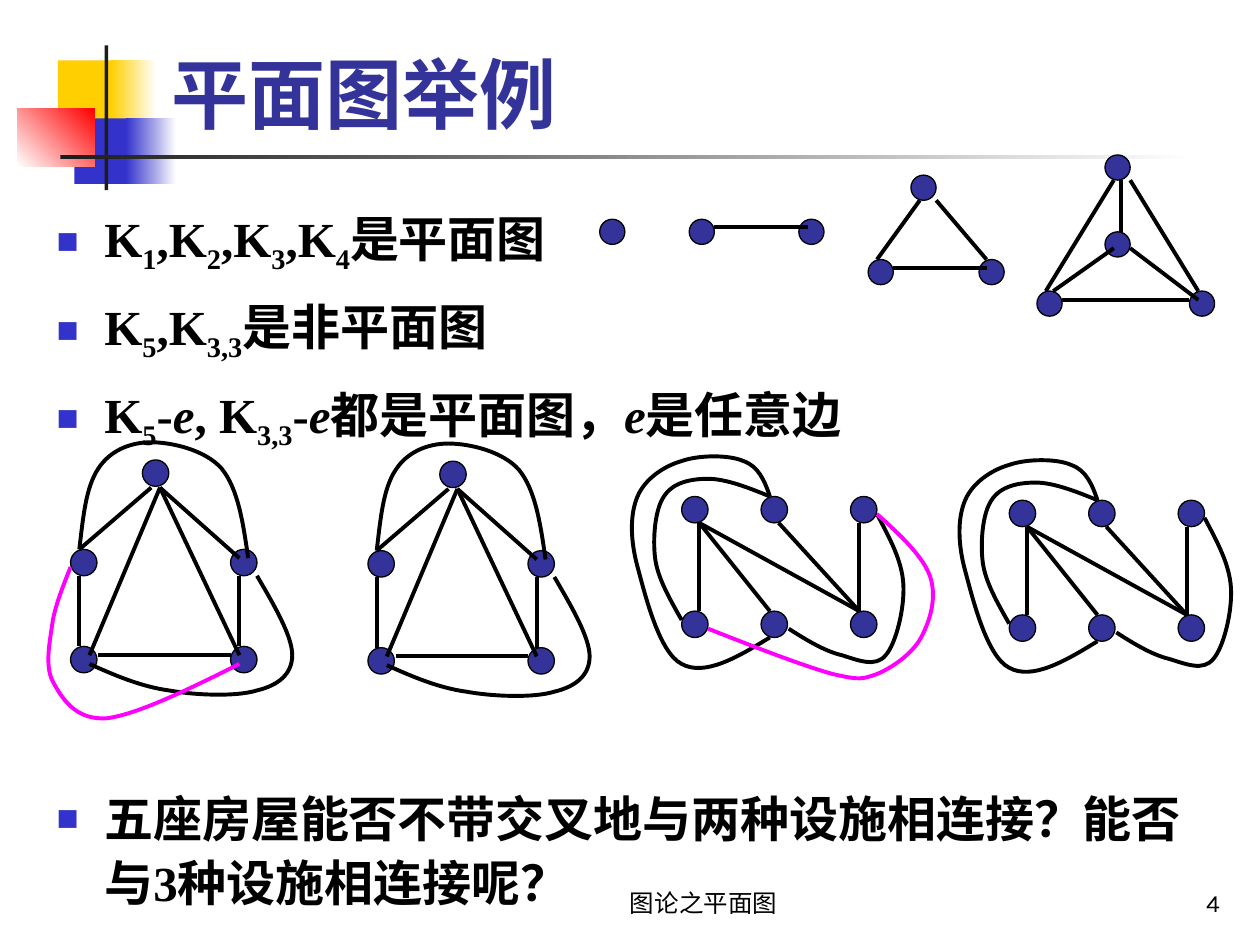
from lxml.etree import SubElement
from pptx import Presentation
from pptx.dml.color import RGBColor
from pptx.enum.shapes import MSO_CONNECTOR, MSO_SHAPE
from pptx.enum.text import MSO_ANCHOR, PP_ALIGN
from pptx.oxml.ns import qn
from pptx.util import Inches, Pt

BLACK = RGBColor(0x00, 0x00, 0x00)
WHITE = RGBColor(0xFF, 0xFF, 0xFF)
CHARCOAL = RGBColor(0x1C, 0x1C, 0x1C)
YELLOW = RGBColor(0xFF, 0xCF, 0x01)
BLUE = RGBColor(0x33, 0x33, 0xCC)
RED = RGBColor(0xFF, 0x00, 0x00)
NAVY = RGBColor(0x33, 0x33, 0x99)
MAGENTA = RGBColor(0xFF, 0x00, 0xFF)

# (left, top, width, height), colours, gradient angle
ORNAMENTS = [
    ((0.46, 0.48, 0.48, 0.52), (YELLOW,), 0),
    ((0.88, 0.48, 0.36, 0.52), (YELLOW, WHITE), 0),
    ((0.59, 0.94, 0.46, 0.52), (BLUE,), 0),
    ((1, 0.94, 0.4, 0.52), (BLUE, WHITE), 0),
    ((0.14, 0.86, 0.61, 0.46), (WHITE, RED), 45),
    ((0.83, 0.36, 0.03, 1.15), (CHARCOAL,), 0),
    ((0.48, 1.23, 9, 0.03), (CHARCOAL, WHITE), 0),
]

# (box, text, size, colour, bold, alignment)
LABELS = [
    ((1.26, 0.08, 8.52, 1.07), "平面图举例", 44, NAVY, True, PP_ALIGN.LEFT),
    ((4, 6.83, 3.17, 0.5), "图论之平面图", 14, BLACK, False, PP_ALIGN.CENTER),
    ((7.7, 6.83, 2.08, 0.5), "4", 14, BLACK, False, PP_ALIGN.RIGHT),
]

# (space before in points, runs of (text, style)); the last gap holds the graphs
PLAIN, SUB, ITALIC = range(3)
BULLETS = [
    (0, [("K", PLAIN), ("1", SUB), (",K", PLAIN), ("2", SUB), (",K", PLAIN),
         ("3", SUB), (",K", PLAIN), ("4", SUB), ("是平面图", PLAIN)]),
    (8.4, [("K", PLAIN), ("5", SUB), (",K", PLAIN), ("3,3", SUB), ("是非平面图", PLAIN)]),
    (8.4, [("K", PLAIN), ("5", SUB), ("-", PLAIN), ("e", ITALIC), (", K", PLAIN),
           ("3,3", SUB), ("-", PLAIN), ("e", ITALIC), ("都是平面图，", PLAIN),
           ("e", ITALIC), ("是任意边", PLAIN)]),
    (189, [("五座房屋能否不带交叉地与两种设施相连接？能否与3种设施相连接呢？", PLAIN)]),
]

# nodes: top-left corners; edges: end points; curves: Bezier control points
K1 = {"nodes": [(4.76, 1.74)]}
K2 = {"nodes": [(5.47, 1.74), (6.34, 1.74)], "edges": [((5.67, 1.8), (6.41, 1.8))]}
K3 = {
    "nodes": [(6.89, 2.06), (7.77, 2.06), (7.23, 1.39)],
    "edges": [((7.09, 2.13), (7.83, 2.13)), ((6.96, 2.06), (7.3, 1.59)),
              ((7.43, 1.59), (7.83, 2.06))],
}
K4 = {
    "nodes": [(8.23, 2.31), (9.44, 2.31), (8.77, 1.84), (8.77, 1.23)],
    "edges": [((8.43, 2.38), (9.44, 2.38)), ((8.84, 1.43), (8.3, 2.31)),
              ((8.97, 1.43), (9.51, 2.31)), ((8.9, 1.43), (8.9, 1.84)),
              ((8.36, 2.31), (8.84, 1.97)), ((8.97, 1.97), (9.51, 2.38))],
}
K5 = {
    "nodes": [(0.56, 5.13), (1.83, 5.13), (0.56, 4.36), (1.13, 3.65), (1.83, 4.36)],
    "edges": [((0.78, 5.2), (1.83, 5.2)), ((0.63, 4.57), (0.63, 5.13)),
              ((1.9, 4.57), (1.9, 5.13)), ((0.63, 4.36), (1.2, 3.87)),
              ((1.27, 3.87), (1.9, 4.43)), ((1.27, 3.87), (0.71, 5.2)),
              ((1.27, 3.87), (1.9, 5.2))],
    "curves": [
        [(0.71, 5.27), (0.91, 5.36), (1.12, 5.45), (1.34, 5.48), (1.56, 5.52),
         (1.88, 5.53), (2.04, 5.48), (2.21, 5.44), (2.32, 5.35), (2.32, 5.2),
         (2.32, 5.05), (2.18, 4.81), (2.04, 4.57)],
        [(0.63, 4.36), (0.66, 4.11), (0.68, 3.87), (0.78, 3.72), (0.87, 3.58),
         (1.03, 3.51), (1.2, 3.51), (1.36, 3.51), (1.63, 3.57), (1.76, 3.72),
         (1.89, 3.88), (1.93, 4.15), (1.97, 4.43)],
    ],
    "extra": [(0.56, 4.5), (0.51, 4.63), (0.45, 4.77), (0.42, 4.92), (0.4, 5.07),
              (0.35, 5.28), (0.42, 5.41), (0.49, 5.54), (0.6, 5.72), (0.85, 5.7),
              (1.09, 5.67), (1.5, 5.47), (1.9, 5.27)],
}
K33 = {
    "nodes": [(x, y) for y in (3.94, 4.85) for x in (5.41, 6.04, 6.75)],
    "edges": [((5.55, 4.15), (5.55, 4.85)), ((5.55, 4.15), (6.11, 4.85)),
              ((5.55, 4.15), (6.82, 4.85)), ((6.18, 4.15), (6.82, 4.85)),
              ((6.82, 4.15), (6.82, 4.85))],
    "curves": [
        [(6.11, 3.94), (5.94, 3.87), (5.76, 3.8), (5.62, 3.8), (5.48, 3.8),
         (5.34, 3.83), (5.27, 3.94), (5.2, 4.04), (5.18, 4.27), (5.2, 4.43),
         (5.22, 4.59), (5.32, 4.76), (5.41, 4.92)],
        [(6.11, 3.94), (6.07, 3.82), (6.02, 3.7), (5.9, 3.66), (5.79, 3.61),
         (5.55, 3.61), (5.41, 3.66), (5.27, 3.7), (5.12, 3.8), (5.06, 3.94),
         (5, 4.08), (5, 4.28), (5.06, 4.5), (5.12, 4.72), (5.23, 5.18),
         (5.41, 5.27), (5.59, 5.37), (5.85, 5.22), (6.11, 5.06)],
        [(6.96, 4.08), (7.06, 4.27), (7.16, 4.45), (7.17, 4.64), (7.18, 4.83),
         (7.11, 5.11), (7.03, 5.2), (6.95, 5.3), (6.81, 5.24), (6.68, 5.2),
         (6.55, 5.17), (6.4, 5.08), (6.26, 4.99)],
    ],
    "extra": [(6.96, 4.08), (7.14, 4.24), (7.32, 4.41), (7.38, 4.57), (7.44, 4.74),
              (7.38, 4.93), (7.31, 5.06), (7.24, 5.19), (7.08, 5.3), (6.96, 5.35),
              (6.84, 5.39), (6.83, 5.4), (6.61, 5.35), (6.39, 5.29), (6, 5.14),
              (5.62, 4.99)],
}
# (graph, node diameter, offset, whether the extra edge e is drawn)
GRAPHS = [
    (K1, 0.2, (0, 0), False), (K2, 0.2, (0, 0), False),
    (K3, 0.2, (0, 0), False), (K4, 0.2, (0, 0), False),
    (K5, 0.21, (2.36, 0.01), False), (K33, 0.21, (0, 0), True),
    (K5, 0.21, (0, 0), True), (K33, 0.21, (2.6, 0.03), False),
]


def inches(values):
    return [Inches(value) for value in values]


def set_line(shape, color, width):
    shape.line.color.rgb = color
    shape.line.width = Pt(width)


def add_ornament(slide, box, colors, angle):
    block = slide.shapes.add_shape(MSO_SHAPE.RECTANGLE, *inches(box))
    block.shadow.inherit = False
    block.line.fill.background()
    if len(colors) == 1:
        block.fill.solid()
        block.fill.fore_color.rgb = colors[0]
        return
    block.fill.gradient()
    block.fill.gradient_angle = angle
    for stop, color in zip(block.fill.gradient_stops, colors):
        stop.color.rgb = color


def add_run(paragraph, text, font_name, size, color, bold):
    run = paragraph.add_run()
    run.text = text
    run.font.name, run.font.size, run.font.bold = font_name, Pt(size), bold
    run.font.color.rgb = color
    return run


def add_frame(slide, box):
    frame = slide.shapes.add_textbox(*inches(box)).text_frame
    frame.word_wrap = True
    return frame


def add_label(slide, box, text, size, color, bold, alignment):
    frame = add_frame(slide, box)
    frame.vertical_anchor = MSO_ANCHOR.BOTTOM
    frame.paragraphs[0].alignment = alignment
    add_run(frame.paragraphs[0], text, "Karla", size, color, bold)


def add_bullets(slide):
    frame = add_frame(slide, (0.35, 1.55, 9.29, 5.75))
    for index, (gap, runs) in enumerate(BULLETS):
        paragraph = frame.add_paragraph() if index else frame.paragraphs[0]
        paragraph.line_spacing = 1.1
        paragraph.space_before = Pt(gap)
        props = paragraph._p.get_or_add_pPr()
        props.set("marL", str(Inches(0.38)))
        props.set("indent", str(Inches(-0.38)))
        bullet_color = SubElement(props, qn("a:buClr"))
        SubElement(bullet_color, qn("a:srgbClr"), val=str(BLUE))
        SubElement(props, qn("a:buSzPct"), val="75000")
        SubElement(props, qn("a:buFont"), typeface="Times New Roman")
        SubElement(props, qn("a:buChar"), char="■")
        for text, style in runs:
            run = add_run(paragraph, text, "Times New Roman", 28, BLACK, True)
            run.font.italic = style == ITALIC
            if style == SUB:
                run.font._element.set("baseline", "-25000")


def add_curve(shapes, points, color):
    """Draw a chain of cubic Bezier segments through every third point."""
    builder = shapes.build_freeform(*points[0])
    builder.add_line_segments(points[1:], close=False)
    curve = builder.convert_to_shape()
    outline = next(curve._element.iter(qn("a:path")))
    segments = outline.findall(qn("a:lnTo"))
    for start in range(0, len(segments), 3):
        bezier = SubElement(outline, qn("a:cubicBezTo"))
        for segment in segments[start:start + 3]:
            bezier.append(segment[0])
            outline.remove(segment)
    curve.shadow.inherit = False
    curve.fill.background()
    set_line(curve, color, 2.25)


def add_graph(slide, graph, diameter, offset, with_extra):
    single = len(graph["nodes"]) == 1
    shapes = slide.shapes if single else slide.shapes.add_group_shape().shapes

    def place(point):
        return inches(value + shift for value, shift in zip(point, offset))

    for corner in graph["nodes"]:
        node = shapes.add_shape(MSO_SHAPE.OVAL, *place(corner), *inches([diameter] * 2))
        node.shadow.inherit = False
        node.fill.solid()
        node.fill.fore_color.rgb = NAVY
        set_line(node, BLACK, 0.75)
    for start, end in graph.get("edges", []):
        edge = shapes.add_connector(MSO_CONNECTOR.STRAIGHT, *place(start), *place(end))
        SubElement(edge._element.spPr, qn("a:effectLst"))
        set_line(edge, BLACK, 2.25)
    curves = [(controls, BLACK) for controls in graph.get("curves", [])]
    if with_extra:
        curves.append((graph["extra"], MAGENTA))
    for controls, color in curves:
        add_curve(shapes, [place(point) for point in controls], color)


def main():
    prs = Presentation()
    prs.slide_width, prs.slide_height = Inches(10), Inches(7.5)
    slide = prs.slides.add_slide(prs.slide_layouts[6])
    for ornament in ORNAMENTS:
        add_ornament(slide, *ornament)
    for label in LABELS:
        add_label(slide, *label)
    add_bullets(slide)
    for graph in GRAPHS:
        add_graph(slide, *graph)
    prs.save("out.pptx")


if __name__ == "__main__":
    main()
